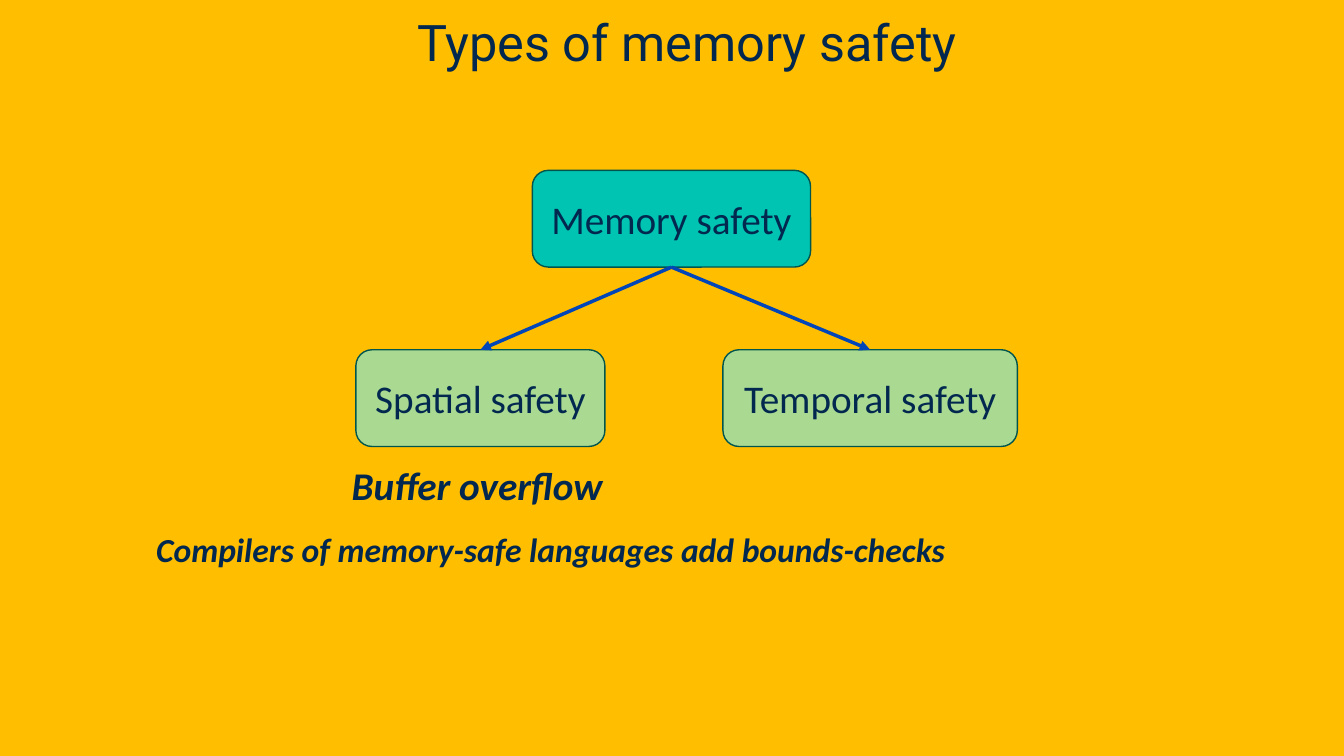
from pptx import Presentation
from pptx.dml.color import RGBColor
from pptx.enum.shapes import MSO_CONNECTOR, MSO_SHAPE
from pptx.enum.text import MSO_ANCHOR, MSO_AUTO_SIZE, PP_ALIGN
from pptx.oxml.ns import qn
from pptx.util import Inches, Pt
from lxml.etree import SubElement

WIDE, HIGH = 13.33, 7.5
INK, EDGE, ARROW, BACK = "022850", "00564E", "0046B9", "FFBE00"
TITLE = "Types of memory safety"
ROWS = (1.69, 3.47)
TALL = 0.96
ROOT = ("Memory safety", 0, 5.28, 2.76, "00C4B2")
KIDS = [
    ("Spatial safety", 1, 3.53, 2.47, "AADA91"),
    ("Temporal safety", 1, 7.17, 2.92, "AADA91"),
]
NOTES = [
    ("Buffer overflow", (3.39, 4.53, 2.74, 0.57), 28),
    ("Compilers of memory-safe languages add bounds-checks", (1.45, 5.2, 8.09, 0.5), 24),
]


def color(code):
    """Turn a hex string into a colour."""
    return RGBColor.from_string(code)


def write(shape, text, size, face="Calibri", align=PP_ALIGN.CENTER, bold=None):
    """Put one styled paragraph into a shape."""
    para = shape.text_frame.paragraphs[0]
    para.text = text
    para.alignment = align
    font = para.font
    font.name, font.size = face, Pt(size)
    font.bold = font.italic = bold
    font.color.rgb = color(INK)
    return para


def head(slide):
    """Add the title across the top."""
    box = slide.shapes.add_textbox(0, 0, Inches(WIDE), Inches(0.76))
    box.text_frame.word_wrap = True
    box.text_frame.vertical_anchor = MSO_ANCHOR.BOTTOM
    para = write(box, TITLE, 36, "Roboto")
    para.space_before = Pt(25)
    para._p.get_or_add_pPr().set("marL", str(Inches(0.3)))


def node(slide, text, row, left, width, fill):
    """Add one rounded box of the tree."""
    place = [Inches(n) for n in (left, ROWS[row], width, TALL)]
    box = slide.shapes.add_shape(MSO_SHAPE.ROUNDED_RECTANGLE, *place)
    box.shadow.inherit = False
    box.fill.solid()
    box.fill.fore_color.rgb = color(fill)
    box.line.color.rgb = color(EDGE)
    box.line.width = Pt(1)
    box.text_frame.word_wrap = True
    box.text_frame.vertical_anchor = MSO_ANCHOR.MIDDLE
    write(box, text, 28)
    return box


def link(slide, top, low):
    """Join two boxes with an arrow."""
    line = slide.shapes.add_connector(MSO_CONNECTOR.STRAIGHT, 0, 0, 0, 0)
    line.begin_connect(top, 2)
    line.end_connect(low, 0)
    line.line.color.rgb = color(ARROW)
    line.line.width = Pt(2.5)
    SubElement(line.line._get_or_add_ln(), qn("a:tailEnd"), type="triangle")
    SubElement(line._element.spPr, qn("a:effectLst"))


def note(slide, text, place, size):
    """Add one bold italic remark."""
    box = slide.shapes.add_textbox(*[Inches(n) for n in place])
    box.text_frame.word_wrap = False
    box.text_frame.auto_size = MSO_AUTO_SIZE.SHAPE_TO_FIT_TEXT
    write(box, text, size, align=PP_ALIGN.LEFT, bold=True)


def main():
    """Build and save the slide."""
    deck = Presentation()
    deck.slide_width, deck.slide_height = Inches(WIDE), Inches(HIGH)
    slide = deck.slides.add_slide(deck.slide_layouts[6])
    slide.background.fill.solid()
    slide.background.fill.fore_color.rgb = color(BACK)
    head(slide)
    root = node(slide, *ROOT)
    kids = [node(slide, *kid) for kid in KIDS]
    for kid in kids:
        link(slide, root, kid)
    for item in NOTES:
        note(slide, *item)
    deck.save("out.pptx")


if __name__ == "__main__":
    main()
